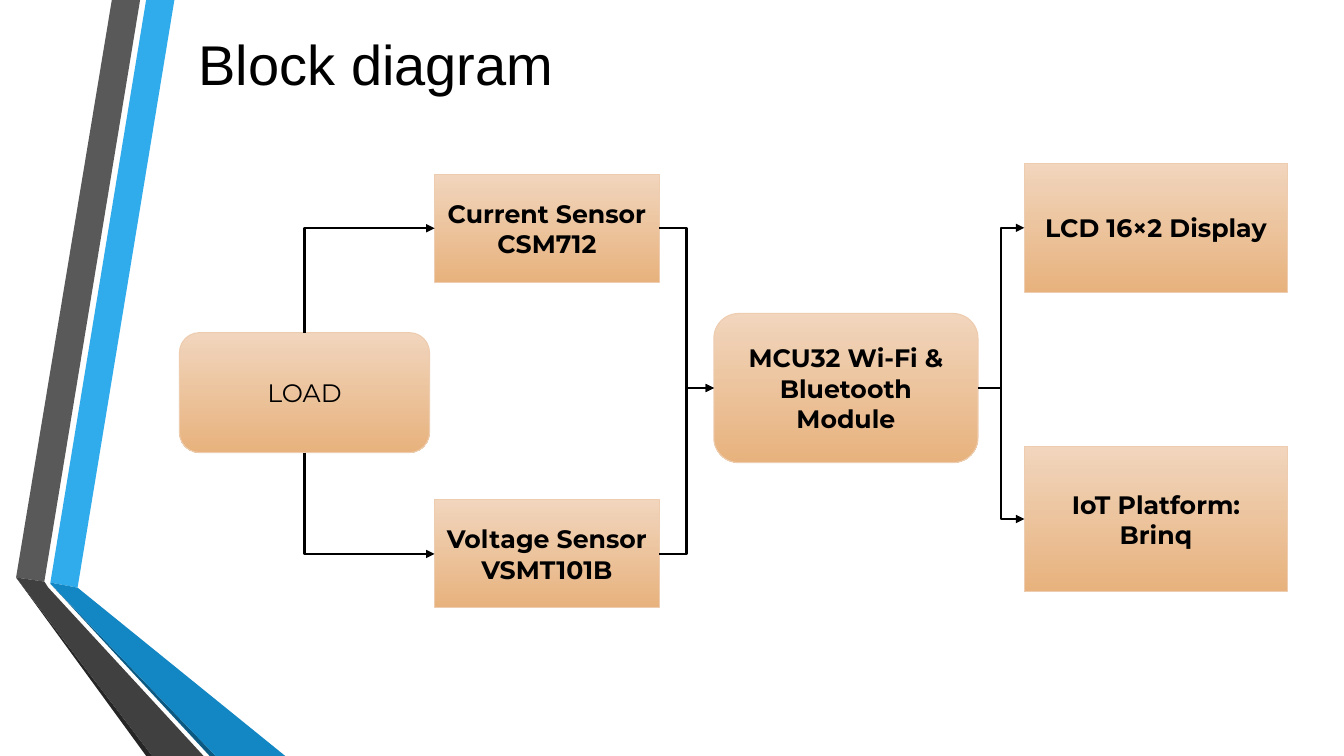
from lxml import etree
from pptx import Presentation
from pptx.dml.color import RGBColor
from pptx.enum.shapes import MSO_CONNECTOR, MSO_SHAPE
from pptx.enum.text import MSO_ANCHOR, PP_ALIGN
from pptx.oxml.ns import qn
from pptx.util import Inches, Pt

BLACK = RGBColor(0x00, 0x00, 0x00)
BLOCK_TOP = RGBColor(0xF1, 0xD5, 0xBD)
BLOCK_BOTTOM = RGBColor(0xE7, 0xB2, 0x7D)
BLOCK_EDGE = RGBColor(0xEE, 0xCC, 0xAF)
BRIGHT_BLUE = RGBColor(0x30, 0xAC, 0xEC)
MID_BLUE = RGBColor(0x12, 0x87, 0xC3)
DEEP_BLUE = RGBColor(0x0C, 0x5A, 0x82)
MID_GRAY = RGBColor(0x59, 0x59, 0x59)
DARK_GRAY = RGBColor(0x40, 0x40, 0x40)
DEEP_GRAY = RGBColor(0x26, 0x26, 0x26)
TOP, LEFT, BOTTOM, RIGHT = range(4)

prs = Presentation()
prs.slide_width, prs.slide_height = Inches(13.33), Inches(7.5)
slide = prs.slides.add_slide(prs.slide_layouts[5])

# Folded ribbons along the left edge
ribbons = [
    (BRIGHT_BLUE, [(0.5, 5.78), (0.77, 5.83), (1.73, 0), (1.45, 0)]),
    (MID_GRAY, [(1.39, 0), (1.11, 0), (0.16, 5.73), (0.44, 5.77)]),
    (DEEP_GRAY, [(0.16, 5.73), (1.45, 7.5), (1.51, 7.5)]),
    (DEEP_BLUE, [(0.5, 5.79), (2.08, 7.5), (2.14, 7.5)]),
    (MID_BLUE, [(0.5, 5.79), (2.14, 7.5), (2.83, 7.5), (0.77, 5.83), (0.5, 5.78)]),
    (DARK_GRAY, [(2.02, 7.5), (0.48, 5.83), (0.44, 5.77), (0.16, 5.73), (1.51, 7.5)]),
]
for color, corners in ribbons:
    points = [(Inches(x), Inches(y)) for x, y in corners]
    outline = slide.shapes.build_freeform(*points[0])
    outline.add_line_segments(points[1:], close=True)
    ribbon = outline.convert_to_shape()
    ribbon.shadow.inherit = False
    ribbon.fill.solid()
    ribbon.fill.fore_color.rgb = color
    ribbon.line.fill.background()

# Title
title = slide.shapes.title
title.left, title.top = Inches(1.87), Inches(0.24)
title.width, title.height = Inches(9.78), Inches(0.77)
title.text_frame.vertical_anchor = MSO_ANCHOR.MIDDLE
heading = title.text_frame.paragraphs[0]
heading.alignment = PP_ALIGN.LEFT
heading_run = heading.add_run()
heading_run.text = "Block diagram"
heading_run.font.name = "Arial"
heading_run.font.size = Pt(40)
heading_run.font.color.rgb = BLACK

# Blocks: name, label, shape, left, top, width, height, bold
RECT, ROUNDED = MSO_SHAPE.RECTANGLE, MSO_SHAPE.ROUNDED_RECTANGLE
block_rows = [
    ("current", "Current Sensor CSM712", RECT, 4.31, 1.73, 2.23, 1.07, True),
    ("voltage", "Voltage Sensor VSMT101B", RECT, 4.31, 4.96, 2.23, 1.07, True),
    ("load", "LOAD", ROUNDED, 1.78, 3.3, 2.48, 1.19, None),
    ("module", "MCU32 Wi-Fi & Bluetooth Module", ROUNDED, 7.08, 3.11, 2.62, 1.48, True),
    ("display", "LCD 16×2 Display", RECT, 10.16, 1.62, 2.61, 1.28, True),
    ("platform", "IoT Platform: Brinq", RECT, 10.16, 4.43, 2.61, 1.44, True),
]
blocks = {}
for name, label, preset, left, top, width, height, bold in block_rows:
    block = slide.shapes.add_shape(
        preset, Inches(left), Inches(top), Inches(width), Inches(height))
    block.shadow.inherit = False
    block.fill.gradient()
    block.fill.gradient_angle = 270
    for stop, color in zip(block.fill.gradient_stops, (BLOCK_TOP, BLOCK_BOTTOM)):
        stop.color.rgb = color
    block.line.color.rgb = BLOCK_EDGE
    block.line.width = Pt(0.75)
    block.text_frame.word_wrap = True
    block.text_frame.vertical_anchor = MSO_ANCHOR.MIDDLE
    paragraph = block.text_frame.paragraphs[0]
    paragraph.alignment = PP_ALIGN.CENTER
    run = paragraph.add_run()
    run.text = label
    run.font.name = "Montserrat"
    run.font.size = Pt(18)
    run.font.bold = bold
    run.font.color.rgb = BLACK
    blocks[name] = block

# Elbow arrows between the blocks
links = [
    ("load", BOTTOM, "voltage"),
    ("current", RIGHT, "module"),
    ("voltage", RIGHT, "module"),
    ("module", RIGHT, "display"),
    ("module", RIGHT, "platform"),
    ("load", TOP, "current"),
]
for source, side, target in links:
    arrow = slide.shapes.add_connector(MSO_CONNECTOR.ELBOW, 0, 0, 0, 0)
    arrow.begin_connect(blocks[source], side)
    arrow.end_connect(blocks[target], LEFT)
    arrow.line.color.rgb = BLACK
    arrow.line.width = Pt(1.75)
    properties = arrow._element.spPr
    etree.SubElement(properties.find(qn("a:ln")), qn("a:tailEnd"), type="triangle")
    etree.SubElement(properties, qn("a:effectLst"))

    # A single bend out of the top or bottom is a rotated two-part elbow
    if side in (TOP, BOTTOM):
        begin_x, begin_y, end_x, end_y = arrow.begin_x, arrow.begin_y, arrow.end_x, arrow.end_y
        across, along = end_x - begin_x, abs(end_y - begin_y)
        arrow.left = (begin_x + end_x - along) // 2
        arrow.top = (begin_y + end_y - across) // 2
        arrow.width, arrow.height = along, across
        properties.find(qn("a:prstGeom")).set("prst", "bentConnector2")
        frame = properties.find(qn("a:xfrm"))
        frame.set("rot", "5400000" if side == TOP else "16200000")
        frame.set("flipH", "1")
        frame.set("flipV", "1" if side == TOP else "0")

prs.save("out.pptx")
